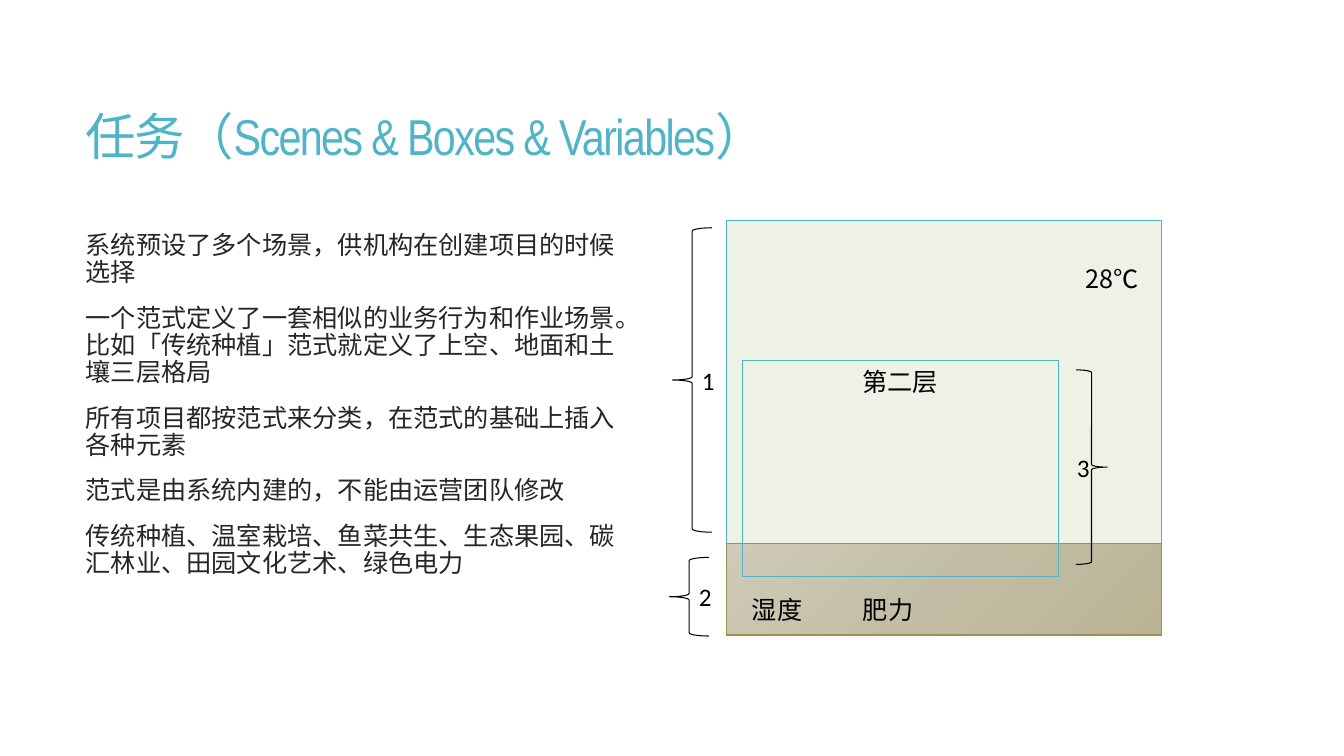
from dataclasses import dataclass
from copy import deepcopy
from typing import Optional

from lxml.etree import SubElement
from pptx import Presentation
from pptx.dml.color import RGBColor
from pptx.enum.shapes import MSO_SHAPE
from pptx.enum.text import MSO_ANCHOR, MSO_AUTO_SIZE, PP_ALIGN
from pptx.oxml.ns import qn
from pptx.util import Inches, Pt

TEAL = RGBColor(0x50, 0xB4, 0xC8)
SKY = RGBColor(0xEE, 0xF1, 0xE5)
EARTH_LINE = RGBColor(0x9B, 0x92, 0x56)
EARTH_STOPS = (
    RGBColor(0xCF, 0xCB, 0xB8),
    RGBColor(0xC2, 0xBD, 0xA4),
    RGBColor(0xBA, 0xB4, 0x94),
)
INK = RGBColor(0x26, 0x26, 0x26)
BLACK = RGBColor(0, 0, 0)

CJK = "Noto Sans CJK SC"
NARROW = "Arial Narrow"
DIGITS = "Calibri"

SLIDE_WIDTH, SLIDE_HEIGHT = Inches(13.33), Inches(7.5)


@dataclass(frozen=True)
class Area:
    """Left, top, width and height in percent of the slide."""
    left: float
    top: float
    width: float
    height: float

    def lengths(self) -> dict[str, int]:
        return {
            "left": round(SLIDE_WIDTH * self.left / 100),
            "top": round(SLIDE_HEIGHT * self.top / 100),
            "width": round(SLIDE_WIDTH * self.width / 100),
            "height": round(SLIDE_HEIGHT * self.height / 100),
        }


@dataclass(frozen=True)
class Figure:
    area: Area
    kind: MSO_SHAPE
    line: RGBColor
    fill: tuple[RGBColor, ...] = ()
    text: str = ""
    typeface: str = CJK
    anchor: MSO_ANCHOR = MSO_ANCHOR.TOP


@dataclass(frozen=True)
class Label:
    area: Area
    text: str


TITLE_AREA = Area(5.63, 10, 85.3, 16.93)
BODY_AREA = Area(5.63, 30.13, 41.79, 48.27)
TITLE_SPANS = (("任务（", CJK), ("Scenes & Boxes & Variables", NARROW), ("）", CJK))
BODY_TEXTS = (
    "系统预设了多个场景，供机构在创建项目的时候选择",
    "一个范式定义了一套相似的业务行为和作业场景。比如「传统种植」范式就定义了上空、地面和土壤三层格局",
    "所有项目都按范式来分类，在范式的基础上插入各种元素",
    "范式是由系统内建的，不能由运营团队修改",
    "传统种植、温室栽培、鱼菜共生、生态果园、碳汇林业、田园文化艺术、绿色电力",
)


def brace(area: Area, number: str, kind: MSO_SHAPE = MSO_SHAPE.LEFT_BRACE) -> Figure:
    return Figure(area, kind, BLACK, (), number, DIGITS, MSO_ANCHOR.MIDDLE)


# Scene parts from back to front
SCENE = (
    Figure(Area(54.09, 29.2, 32.33, 42.8), MSO_SHAPE.RECTANGLE, TEAL, (SKY,)),
    Figure(Area(54.09, 71.87, 32.33, 12.13), MSO_SHAPE.RECTANGLE, EARTH_LINE, EARTH_STOPS),
    Label(Area(80.05, 34.13, 6.3, 5.33), "28℃"),
    Figure(Area(55.21, 47.73, 23.56, 28.53), MSO_SHAPE.RECTANGLE, TEAL, text="第二层"),
    brace(Area(50.04, 30.13, 2.93, 40.27), "1"),
    brace(Area(49.81, 73.73, 2.93, 10.4), "2"),
    brace(Area(80.05, 48.93, 2.33, 25.73), "3", MSO_SHAPE.RIGHT_BRACE),
    Label(Area(55.21, 78, 6.08, 5.47), "湿度"),
    Label(Area(63.47, 78, 6.08, 5.47), "肥力"),
)


def apply(target, values: dict) -> None:
    for name, value in values.items():
        setattr(target, name, value)


def add_span(para, text: str, typeface: str, size: float, color: RGBColor, spacing: int = 0) -> None:
    span = para.add_run()
    span.text = text
    apply(span.font, {"name": typeface, "size": Pt(size)})
    span.font.color.rgb = color
    properties = span.font._element
    SubElement(properties, qn("a:ea")).set("typeface", CJK)
    if spacing:
        properties.set("spc", str(spacing))


def fill_figure(shape, colors: tuple[RGBColor, ...]) -> None:
    if not colors:
        shape.fill.background()
    elif len(colors) == 1:
        shape.fill.solid()
        shape.fill.fore_color.rgb = colors[0]
    else:
        shape.fill.gradient()
        shape.fill.gradient_angle = 315
        stops = shape._element.spPr.find(".//" + qn("a:gsLst"))
        while len(stops) < len(colors):
            stops.append(deepcopy(stops[0]))
        for index, (stop, color) in enumerate(zip(shape.fill.gradient_stops, colors)):
            stop.position = index / (len(colors) - 1)
            stop.color.rgb = color


def draw_text(shape, text: str, typeface: str, frame_format: dict, align: Optional[PP_ALIGN]) -> None:
    apply(shape.text_frame, {"word_wrap": True, **frame_format})
    para = shape.text_frame.paragraphs[0]
    para.alignment = align
    add_span(para, text, typeface, 18, BLACK)


def draw_figure(page, figure: Figure) -> None:
    shape = page.shapes.add_shape(figure.kind, **figure.area.lengths())
    shape.shadow.inherit = False
    fill_figure(shape, figure.fill)
    shape.line.color.rgb = figure.line
    shape.line.width = Pt(0.75)
    if figure.text:
        draw_text(shape, figure.text, figure.typeface,
                  {"vertical_anchor": figure.anchor}, PP_ALIGN.CENTER)


def draw_label(page, label: Label) -> None:
    box = page.shapes.add_textbox(**label.area.lengths())
    draw_text(box, label.text, CJK, {"auto_size": MSO_AUTO_SIZE.SHAPE_TO_FIT_TEXT}, None)


def draw_title(page) -> None:
    title = page.shapes.title
    apply(title, TITLE_AREA.lengths())
    apply(title.text_frame, {"auto_size": MSO_AUTO_SIZE.NONE, "vertical_anchor": MSO_ANCHOR.MIDDLE})
    para = title.text_frame.paragraphs[0]
    apply(para, {"alignment": PP_ALIGN.LEFT, "line_spacing": 0.85})
    for text, typeface in TITLE_SPANS:
        add_span(para, text, typeface, 36, TEAL, spacing=-120)


def draw_body(page) -> None:
    body = page.placeholders[1]
    apply(body, BODY_AREA.lengths())
    frame = body.text_frame
    apply(frame, {"auto_size": MSO_AUTO_SIZE.NONE, "vertical_anchor": MSO_ANCHOR.TOP})
    for index, text in enumerate(BODY_TEXTS):
        para = frame.add_paragraph() if index else frame.paragraphs[0]
        properties = para._p.get_or_add_pPr()
        properties.set("marL", "0")
        properties.set("indent", "0")
        SubElement(properties, qn("a:buNone"))
        apply(para, {"line_spacing": 0.9, "space_before": Pt(13 if index else 0)})
        add_span(para, text, CJK, 18, INK)


def main() -> None:
    deck = Presentation()
    apply(deck, {"slide_width": SLIDE_WIDTH, "slide_height": SLIDE_HEIGHT})
    page = deck.slides.add_slide(deck.slide_layouts[1])
    draw_title(page)
    draw_body(page)
    for part in SCENE:
        if isinstance(part, Label):
            draw_label(page, part)
        else:
            draw_figure(page, part)
    deck.save("out.pptx")


if __name__ == "__main__":
    main()
